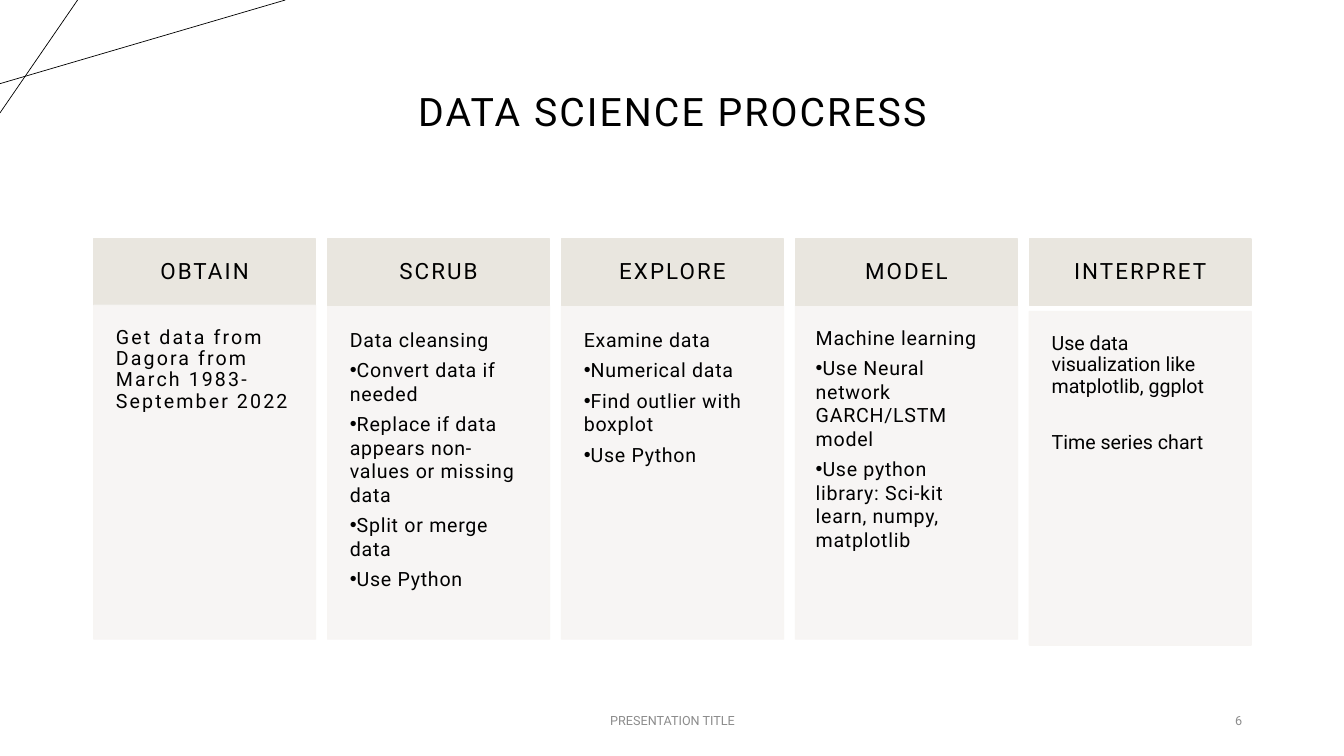
from dataclasses import dataclass

from pptx import Presentation
from pptx.dml.color import RGBColor
from pptx.enum.shapes import MSO_CONNECTOR, MSO_SHAPE
from pptx.enum.text import MSO_ANCHOR, MSO_AUTO_SIZE, PP_ALIGN
from pptx.oxml.ns import qn
from pptx.util import Inches, Pt

RECTANGLE = MSO_SHAPE.RECTANGLE
STRAIGHT = MSO_CONNECTOR.STRAIGHT
TOP, MIDDLE = MSO_ANCHOR.TOP, MSO_ANCHOR.MIDDLE
LEFT, CENTER, RIGHT = PP_ALIGN.LEFT, PP_ALIGN.CENTER, PP_ALIGN.RIGHT
COMPARISON_LAYOUT = 4


@dataclass(frozen=True)
class Theme:
    font: str = "Roboto"
    ink: RGBColor = RGBColor(0x00, 0x00, 0x00)
    muted: RGBColor = RGBColor(0x8C, 0x8C, 0x8C)
    heading_fill: RGBColor = RGBColor(0xE9, 0xE6, 0xDF)
    card_fill: RGBColor = RGBColor(0xF7, 0xF5, 0xF3)
    card_opacity: int = 90
    title_size: float = 28
    heading_size: float = 16
    body_size: float = 14
    footer_size: float = 9
    wide: float = 1.5


@dataclass(frozen=True)
class Box:
    left: float
    top: float
    width: float
    height: float


@dataclass(frozen=True)
class Style:
    size: float
    color: RGBColor
    spacing: float = 0
    align: PP_ALIGN = LEFT
    line_spacing: float = 1.0
    after: float = 0


@dataclass(frozen=True)
class Para:
    text: str
    bullet: bool = False
    before: float = 0


@dataclass(frozen=True)
class Step:
    heading: str
    paras: tuple[Para, ...]
    spacing: float = 0.5
    line_spacing: float = 1.0
    inset: float = 0.22
    drop: float = 0

    @property
    def is_list(self) -> bool:
        return any(para.bullet for para in self.paras)


@dataclass(frozen=True)
class Footer:
    text: str
    box: Box
    align: PP_ALIGN


THEME = Theme()
FIRST_LEFT, STEP_PITCH, STEP_WIDTH = 0.93, 2.32, 2.2
HEADING_TOP, HEADING_HEIGHT, CARD_HEIGHT = 2.37, 0.66, 3.31
TITLE_BOX = Box(0.92, 0.4, 11.5, 1.45)
CORNER_LINES = ((0, 0.83, 2.83, 0), (0.77, 0, 0, 1.12))

STEPS = (
    Step("OBTAIN", (Para("Get data from Dagora from March 1983-September 2022"),),
         spacing=THEME.wide, line_spacing=0.9),
    Step("SCRUB", (
        Para("Data cleansing"),
        Para("Convert data if needed", bullet=True),
        Para("Replace if data appears non-values or missing data", bullet=True),
        Para("Split or merge data", bullet=True),
        Para("Use Python", bullet=True),
    )),
    Step("EXPLORE", (
        Para("Examine data"),
        Para("Numerical data", bullet=True),
        Para("Find outlier with boxplot", bullet=True),
        Para("Use Python", bullet=True),
    )),
    Step("MODEL", (
        Para("Machine learning"),
        Para("Use Neural network GARCH/LSTM model", bullet=True),
        Para("Use python library: Sci-kit learn, numpy, matplotlib", bullet=True),
    ), inset=0.2),
    Step("INTERPRET", (
        Para("Use data visualization like matplotlib, ggplot"),
        Para("Time series chart", before=20),
    ), spacing=0, line_spacing=0.9, drop=0.06),
)

FOOTERS = (
    Footer("PRESENTATION TITLE", Box(4.42, 6.95, 4.5, 0.4), CENTER),
    Footer("6", Box(9.42, 6.95, 3, 0.4), RIGHT),
)


def place(shape, box: Box) -> None:
    shape.left, shape.top = Inches(box.left), Inches(box.top)
    shape.width, shape.height = Inches(box.width), Inches(box.height)


def paint(shape, color: RGBColor, opacity: int = 100) -> None:
    shape.shadow.inherit = False
    shape.fill.solid()
    shape.fill.fore_color.rgb = color
    shape.line.color.rgb = color
    shape.line.width = Pt(1)
    if opacity < 100:
        for tint in shape._element.spPr.iter(qn("a:srgbClr")):
            alpha = tint.makeelement(qn("a:alpha"), {"val": str(opacity * 1000)})
            tint.append(alpha)


def set_bullet(paragraph, shown: bool) -> None:
    properties = paragraph._p.get_or_add_pPr()
    properties.set("marL", "0")
    properties.set("indent", "0")
    tag, values = ("a:buChar", {"char": "•"}) if shown else ("a:buNone", {})
    properties.append(properties.makeelement(qn(tag), values))


def write(shape, paras: tuple[Para, ...], style: Style, anchor: MSO_ANCHOR,
          inset: float | None = None) -> None:
    frame = shape.text_frame
    frame.word_wrap = True
    frame.auto_size = MSO_AUTO_SIZE.NONE
    frame.vertical_anchor = anchor
    if inset is not None:
        frame.margin_left = frame.margin_right = Inches(inset)
        frame.margin_top = frame.margin_bottom = Inches(inset)
    for index, para in enumerate(paras):
        paragraph = frame.add_paragraph() if index else frame.paragraphs[0]
        paragraph.alignment = style.align
        paragraph.line_spacing = style.line_spacing
        paragraph.space_before = Pt(para.before)
        paragraph.space_after = Pt(style.after)
        set_bullet(paragraph, para.bullet)
        span = paragraph.add_run()
        span.text = para.text
        span.font.name = THEME.font
        span.font.size = Pt(style.size)
        span.font.bold = False
        span.font.color.rgb = style.color
        span._r.get_or_add_rPr().set("spc", str(int(style.spacing * 100)))


def add_corner_line(page, ends: tuple[float, ...]) -> None:
    line = page.shapes.add_connector(STRAIGHT, *(Inches(end) for end in ends))
    line.line.color.rgb = THEME.ink
    line.line.width = Pt(0.5)
    properties = line._element.spPr
    properties.append(properties.makeelement(qn("a:effectLst"), {}))


def add_rectangle(page):
    return page.shapes.add_shape(RECTANGLE, 0, 0, 0, 0)


def add_step(page, step: Step, left: float, holders: list) -> None:
    heading = add_rectangle(page)
    place(heading, Box(left, HEADING_TOP, STEP_WIDTH, HEADING_HEIGHT))
    paint(heading, THEME.heading_fill)
    write(heading, (Para(step.heading),),
          Style(THEME.heading_size, THEME.ink, THEME.wide, CENTER, 0.9), MIDDLE, 0.17)

    card = holders.pop(0) if step.is_list else add_rectangle(page)
    card_top = HEADING_TOP + HEADING_HEIGHT + step.drop
    place(card, Box(left, card_top, STEP_WIDTH, CARD_HEIGHT))
    paint(card, THEME.card_fill, THEME.card_opacity)
    write(card, step.paras,
          Style(THEME.body_size, THEME.ink, step.spacing, LEFT, step.line_spacing, 5),
          TOP, step.inset)


def add_footer(page, footer: Footer) -> None:
    label = page.shapes.add_textbox(0, 0, 0, 0)
    place(label, footer.box)
    write(label, (Para(footer.text),),
          Style(THEME.footer_size, THEME.muted, align=footer.align), MIDDLE)


def main() -> None:
    deck = Presentation()
    deck.slide_width, deck.slide_height = Inches(13.33), Inches(7.5)
    page = deck.slides.add_slide(deck.slide_layouts[COMPARISON_LAYOUT])
    title, *holders = page.placeholders
    for ends in CORNER_LINES:
        add_corner_line(page, ends)
    place(title, TITLE_BOX)
    write(title, (Para("DATA SCIENCE PROCRESS"),),
          Style(THEME.title_size, THEME.ink, THEME.wide, CENTER, 0.9), MIDDLE)
    for index, step in enumerate(STEPS):
        add_step(page, step, FIRST_LEFT + index * STEP_PITCH, holders)
    for spare in holders:
        spare._element.getparent().remove(spare._element)
    for footer in FOOTERS:
        add_footer(page, footer)
    deck.save("out.pptx")


if __name__ == "__main__":
    main()
